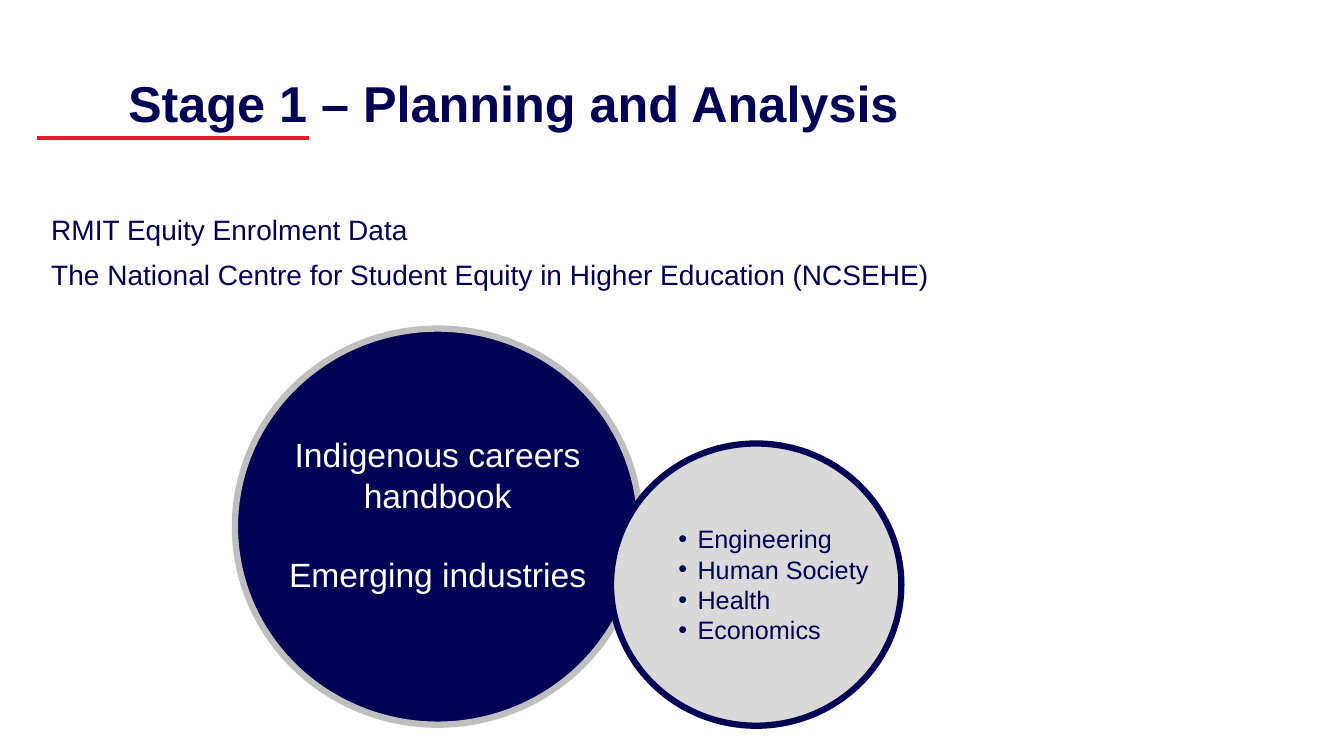
"""Build the Stage 1 planning and analysis slide."""
from lxml.etree import SubElement
from pptx import Presentation
from pptx.dml.color import RGBColor
from pptx.enum.shapes import MSO_CONNECTOR, MSO_SHAPE
from pptx.enum.text import MSO_ANCHOR, PP_ALIGN
from pptx.oxml.ns import qn
from pptx.util import Inches, Pt

NAVY, RED, WHITE = "000054", "E51D2A", "FFFFFF"


def color(value):
    return RGBColor.from_string(value)


def add_text(box, lines, size, text_color, gap=0, bullet=False, **formats):
    text_box = slide.shapes.add_textbox(*map(Inches, box))
    frame = text_box.text_frame
    frame.word_wrap = True
    for index, line in enumerate(lines):
        paragraph = frame.paragraphs[0] if index == 0 else frame.add_paragraph()
        paragraph.text = line
        if bullet:
            properties = paragraph._p.get_or_add_pPr()
            properties.set("marL", str(Inches(0.69)))
            properties.set("indent", str(Inches(-0.19)))
            SubElement(properties, qn("a:buFont"), typeface="Arial")
            SubElement(properties, qn("a:buChar"), char="•")
        if index:
            paragraph.space_before = Pt(gap)
        for name, value in formats.items():
            setattr(paragraph, name, value)
        for name, value in {"name": "Arial", "size": Pt(size)}.items():
            setattr(paragraph.font, name, value)
        paragraph.font.color.rgb = color(text_color)
    return frame


presentation = Presentation()
presentation.slide_width = Inches(13.33)
presentation.slide_height = Inches(7.5)
slide = presentation.slides.add_slide(presentation.slide_layouts[6])

title = add_text((1.27, 0.73, 8.4, 1.15), ["Stage 1 – Planning and Analysis"],
                 36, NAVY, line_spacing=0.9)
title.margin_left = 0
title.paragraphs[0].font.bold = True

sources = [
    "RMIT Equity Enrolment Data",
    "The National Centre for Student Equity in Higher Education (NCSEHE)",
]
add_text((0.41, 2.06, 9.73, 0.83), sources, 20, NAVY, gap=4, space_after=Pt(4))

circles = [
    ((2.33, 3.26, 4.02, 3.93), NAVY, "BFBFBF"),
    ((6.06, 4.4, 2.88, 2.8), "D9D9D9", NAVY),
]
for box, fill, outline in circles:
    circle = slide.shapes.add_shape(MSO_SHAPE.OVAL, *map(Inches, box))
    circle.shadow.inherit = False
    circle.fill.solid()
    circle.fill.fore_color.rgb = color(fill)
    circle.line.color.rgb = color(outline)
    circle.line.width = Pt(4.5)

add_text((2.63, 4.26, 3.42, 1.72), ["Indigenous careers handbook", "Emerging industries"],
         24, WHITE, gap=28, alignment=PP_ALIGN.CENTER)

fields = add_text((6.13, 5.14, 2.59, 1.31),
                  ["Engineering", "Human Society", "Health", "Economics"],
                  18, NAVY, bullet=True)
fields.vertical_anchor = MSO_ANCHOR.MIDDLE

underline = slide.shapes.add_connector(
    MSO_CONNECTOR.STRAIGHT, Inches(0.37), Inches(1.37), Inches(3.06), Inches(1.37))
underline.line.color.rgb = color(RED)
underline.line.width = Pt(3)
SubElement(underline._element.spPr, qn("a:effectLst"))

presentation.save("out.pptx")
